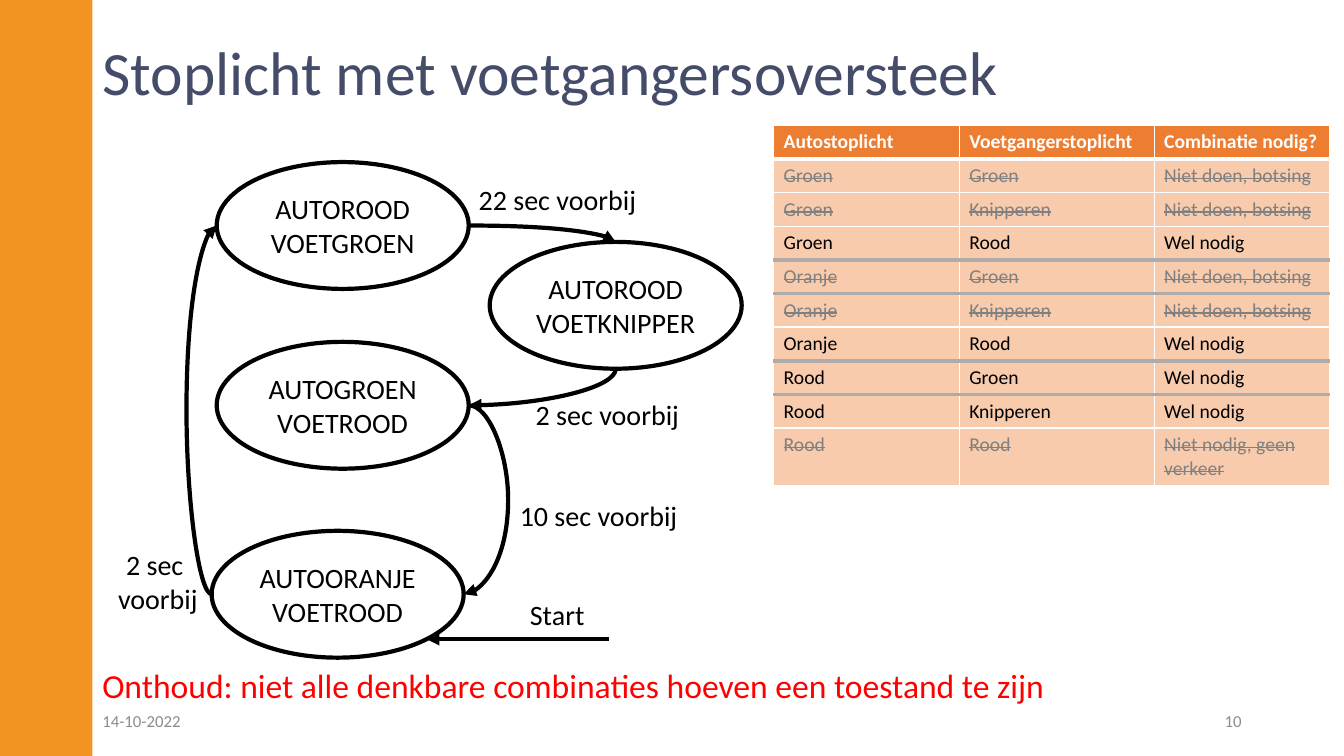
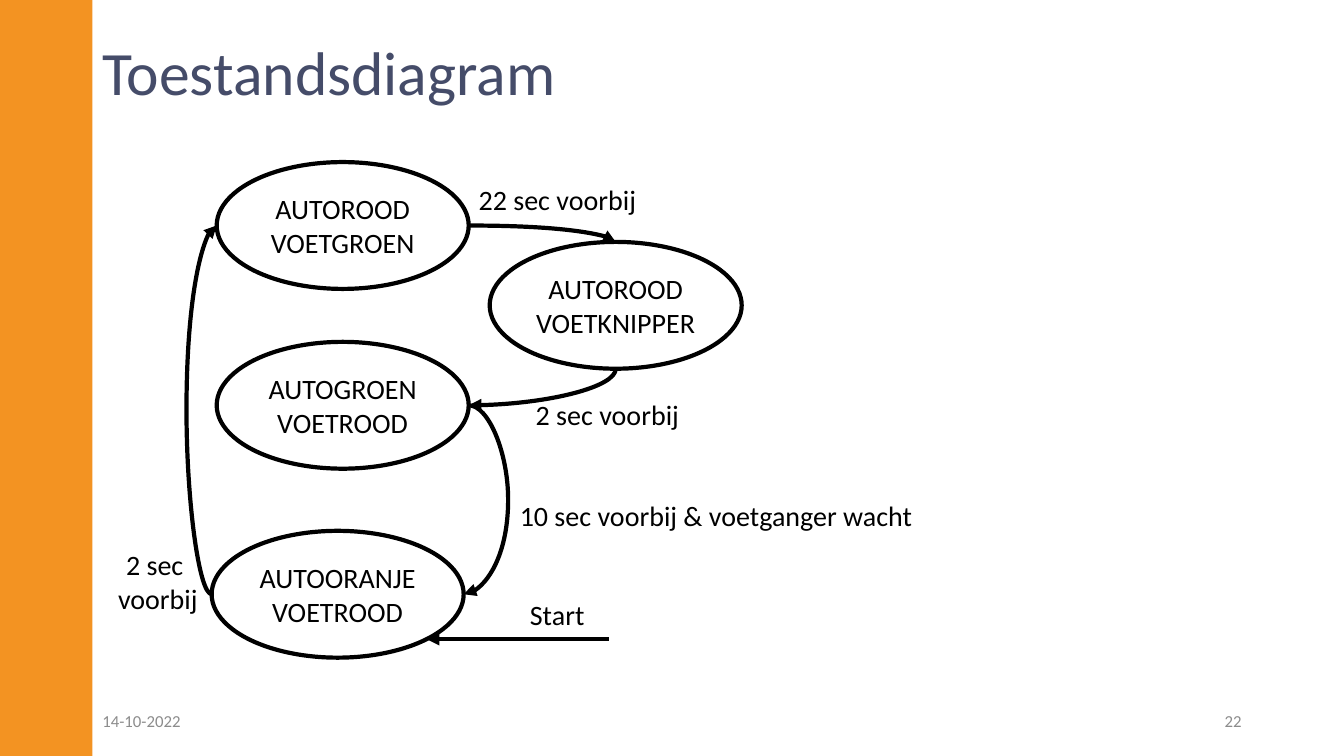
from typing import NamedTuple

from lxml.etree import SubElement
from pptx import Presentation
from pptx.dml.color import RGBColor
from pptx.enum.shapes import MSO_CONNECTOR, MSO_SHAPE
from pptx.enum.text import MSO_ANCHOR, PP_ALIGN
from pptx.oxml.ns import qn
from pptx.util import Inches, Pt

COLUMNS, ROWS = 160, 90
CELL = Inches(13.333) / COLUMNS
FONT = "Calibri"
COLORS = {
    "band": "F39322",
    "title": "454C69",
    "footer": "8C8C8C",
    "ink": "000000",
    "alert": "FF0000",
    "white": "FFFFFF",
    "header": "ED7D31",
    "body": "F8CBAD",
    "dropped": "808080",
    "divider": "AFABAB",
}

STATES = {
    "green walk": (14.8, 1.3, ["AUTOROOD", "VOETGROEN"]),
    "blinking walk": (47.3, 10.8, ["AUTOROOD", "VOETKNIPPER"]),
    "green car": (14.8, 22.7, ["AUTOGROEN", "VOETROOD"]),
    "orange car": (14.2, 45.2, ["AUTOORANJE", "VOETROOD"]),
}
STATE_SIZE = (30, 15.1)
SITES = {"top": (0, 0.5, 0), "left": (2, 0, 0.5), "bottom": (4, 0.5, 1), "right": (6, 1, 0.5)}
TRANSITIONS = [
    ("green walk", "right", "blinking walk", "top", 0),
    ("blinking walk", "bottom", "green car", "right", 0),
    ("green car", "right", "orange car", "right", 4.7),
    ("orange car", "left", "green walk", "left", -3),
]
LABELS = [
    (44.8, 3.1, 21.4, 5.3, ["22 sec voorbij"]),
    (51.6, 28.7, 19.7, 5.3, ["2 sec voorbij"]),
    (1.8, 46.6, 12, 9.2, ["2 sec ", "voorbij"]),
    (50.9, 52.6, 9, 5.3, ["Start"]),
]

HEADINGS = ["Autostoplicht", "Voetgangerstoplicht", "Combinatie nodig?"]
COLLISION, NEEDED = "Niet doen, botsing", "Wel nodig"
COMBINATIONS = [
    ("Groen", "Groen", COLLISION),
    ("Groen", "Knipperen", COLLISION),
    ("Groen", "Rood", NEEDED),
    ("Oranje", "Groen", COLLISION),
    ("Oranje", "Knipperen", COLLISION),
    ("Oranje", "Rood", NEEDED),
    ("Rood", "Groen", NEEDED),
    ("Rood", "Knipperen", NEEDED),
    ("Rood", "Rood", "Niet nodig, geen verkeer"),
]
COLUMN_WIDTHS = (22.1, 23.2, 20.9)
DIVIDED_ROWS = {3, 4, 6, 7}


class Box(NamedTuple):
    """A region measured in grid cells."""

    left: float
    top: float
    width: float
    height: float

    def inside(self, left, top, width=0, height=0):
        """Return a region placed relative to this one."""
        return Box(self.left + left, self.top + top, width, height)

    def emu(self):
        """Return the region in slide units."""
        return [round(cells * CELL) for cells in self]


PAGE = Box(0, 0, COLUMNS, ROWS)
DIAGRAM = Box(11, 18, 80, 62)
TABLE = Box(92.1, 14.9, sum(COLUMN_WIDTHS), 42.8)


def rgb(name):
    """Look up a colour by its role."""
    return RGBColor.from_string(COLORS[name])


def write(frame, lines, size, color, align=PP_ALIGN.LEFT, bold=False, strike=False):
    """Write each line as a paragraph with one run."""
    for index, line in enumerate(lines):
        paragraph = frame.paragraphs[0] if index == 0 else frame.add_paragraph()
        paragraph.alignment = align
        run = paragraph.add_run()
        run.text = line
        run.font.name, run.font.size, run.font.bold = FONT, Pt(size), bold
        run.font.color.rgb = rgb(color)
        if strike:
            run.font._element.set("strike", "sngStrike")


def add_label(slide, box, lines, size, color, align=PP_ALIGN.LEFT, anchor=MSO_ANCHOR.TOP, wrap=True):
    """Add a text box and return its frame."""
    frame = slide.shapes.add_textbox(*box.emu()).text_frame
    frame.word_wrap = wrap
    frame.vertical_anchor = anchor
    write(frame, lines, size, color, align)
    return frame


def add_frame(slide, page, title, number):
    """Add the side band, title, date and slide number."""
    band = slide.shapes.add_shape(MSO_SHAPE.RECTANGLE, *page.inside(0, 0, 11, page.height).emu())
    band.shadow.inherit = False
    band.fill.solid()
    band.fill.fore_color.rgb = rgb("band")
    band.line.fill.background()
    middle = MSO_ANCHOR.MIDDLE
    heading = add_label(slide, page.inside(11, 3.8, 138, 10.3), [title], 44, "title", anchor=middle)
    heading.paragraphs[0].line_spacing = 0.9
    add_label(slide, page.inside(11, 83.4, 36, 4.8), ["14-10-2022"], 12, "footer", anchor=middle)
    add_label(slide, page.inside(113, 83.4, 36, 4.8), [number], 12, "footer", PP_ALIGN.RIGHT, middle)


def add_state(slide, box, lines):
    """Add one state as an outlined ellipse."""
    state = slide.shapes.add_shape(MSO_SHAPE.OVAL, *box.emu())
    state.shadow.inherit = False
    state.fill.background()
    state.line.color.rgb = rgb("ink")
    state.line.width = Pt(3)
    frame = state.text_frame
    frame.margin_left = frame.margin_right = frame.margin_top = frame.margin_bottom = 0
    frame.vertical_anchor = MSO_ANCHOR.MIDDLE
    write(frame, lines, 20, "ink", PP_ALIGN.CENTER)
    return state


def add_arrow(slide, kind, start, end):
    """Add a black connector with a triangle at its end."""
    arrow = slide.shapes.add_connector(kind, *(round(value) for value in (*start, *end)))
    arrow.line.color.rgb = rgb("ink")
    arrow.line.width = Pt(3)
    properties = arrow.element.spPr
    SubElement(properties.find(qn("a:ln")), qn("a:tailEnd"), type="triangle")
    SubElement(properties, qn("a:effectLst"))
    return arrow


def site_point(state, side):
    """Return the point in the middle of one side of a state."""
    _, across, down = SITES[side]
    return state.left + across * state.width, state.top + down * state.height


def add_transition(slide, source, source_side, target, target_side, bulge):
    """Join two states with a curve that bulges sideways or turns one corner."""
    start, end = site_point(source, source_side), site_point(target, target_side)
    downward = source_side == "bottom"
    if downward:
        center_x, center_y = (start[0] + end[0]) / 2, (start[1] + end[1]) / 2
        half_width, half_height = abs(end[1] - start[1]) / 2, abs(end[0] - start[0]) / 2
        start = center_x - half_width, center_y - half_height
        end = center_x + half_width, center_y + half_height
    curve = add_arrow(slide, MSO_CONNECTOR.CURVE, start, end)
    properties = curve.element.spPr
    if downward:
        properties.find(qn("a:xfrm")).set("rot", str(90 * 60000))
    geometry = properties.find(qn("a:prstGeom"))
    if bulge:
        share = round(bulge * CELL / (end[0] - start[0]) * 100000)
        guides = geometry.find(qn("a:avLst"))
        SubElement(guides, qn("a:gd"), name="adj1", fmla=f"val {share}")
    else:
        geometry.set("prst", "curvedConnector2")
    joints = curve.element.find(".//" + qn("p:cNvCxnSpPr"))
    for tag, state, side in (("a:stCxn", source, source_side), ("a:endCxn", target, target_side)):
        SubElement(joints, qn(tag), id=str(state.shape_id), idx=str(SITES[side][0]))


def add_diagram(slide, box, wait_label, wait_width):
    """Add the state diagram of the traffic light."""
    states = {
        name: add_state(slide, box.inside(left, top, *STATE_SIZE), lines)
        for name, (left, top, lines) in STATES.items()
    }
    for source, source_side, target, target_side, bulge in TRANSITIONS:
        add_transition(slide, states[source], source_side, states[target], target_side, bulge)
    start, end = box.inside(61.5, 58.1).emu()[:2], box.inside(39.8, 58.1).emu()[:2]
    add_arrow(slide, MSO_CONNECTOR.STRAIGHT, start, end)
    for *place, lines in [*LABELS, (49.7, 40.7, wait_width, 5.3, [wait_label])]:
        align = PP_ALIGN.CENTER if len(lines) > 1 else PP_ALIGN.LEFT
        add_label(slide, box.inside(*place), lines, 20, "ink", align, wrap=False)


def add_borders(cell, row):
    """Draw the four borders of a cell, with thick lines between groups."""

    def rule(above):
        """Return width and colour of the line below a row."""
        if above in DIVIDED_ROWS:
            return 3, "divider"
        return (3 if above == 0 else 1), "white"

    properties = cell._tc.get_or_add_tcPr()
    sides = {"a:lnL": (1, "white"), "a:lnR": (1, "white"), "a:lnT": rule(row - 1), "a:lnB": rule(row)}
    for position, (tag, (width, color)) in enumerate(sides.items()):
        border = SubElement(properties, qn(tag), w=str(Pt(width)))
        properties.insert(position, border)
        SubElement(SubElement(border, qn("a:solidFill")), qn("a:srgbClr"), val=COLORS[color])


def add_combinations(slide, box):
    """Add the table of light combinations, striking out the unused ones."""
    rows = [HEADINGS, *COMBINATIONS]
    table = slide.shapes.add_table(len(rows), len(HEADINGS), *box.emu()).table
    table.horz_banding = False
    for column, width in zip(table.columns, COLUMN_WIDTHS):
        column.width = round(width * CELL)
    for index, texts in enumerate(rows):
        table.rows[index].height = round(3.7 * CELL)
        header = index == 0
        dropped = not header and texts[-1] != NEEDED
        color = "white" if header else "dropped" if dropped else "ink"
        for cell, text in zip(table.rows[index].cells, texts):
            cell.fill.solid()
            cell.fill.fore_color.rgb = rgb("header" if header else "body")
            add_borders(cell, index)
            write(cell.text_frame, [text], 14, color, bold=header, strike=dropped)


def build_crossing(slide):
    """Build the slide with diagram, combinations and reminder."""
    add_frame(slide, PAGE, "Stoplicht met voetgangersoversteek", "10")
    reminder = "Onthoud: niet alle denkbare combinaties hoeven een toestand te zijn"
    add_label(slide, PAGE.inside(11, 78.6, 149, 6), [reminder], 24, "alert")
    add_diagram(slide, DIAGRAM, "10 sec voorbij", 21.4)
    add_combinations(slide, TABLE)


def build_state_diagram(slide):
    """Build the slide with only the diagram."""
    add_frame(slide, PAGE, "Toestandsdiagram", "22")
    add_diagram(slide, DIAGRAM, "10 sec voorbij & voetganger wacht", 49.6)


def main():
    """Build and save the presentation."""
    deck = Presentation()
    deck.slide_width, deck.slide_height = round(COLUMNS * CELL), round(ROWS * CELL)
    blank = deck.slide_layouts[6]
    for build in (build_crossing, build_state_diagram):
        build(deck.slides.add_slide(blank))
    deck.save("out.pptx")


if __name__ == "__main__":
    main()
